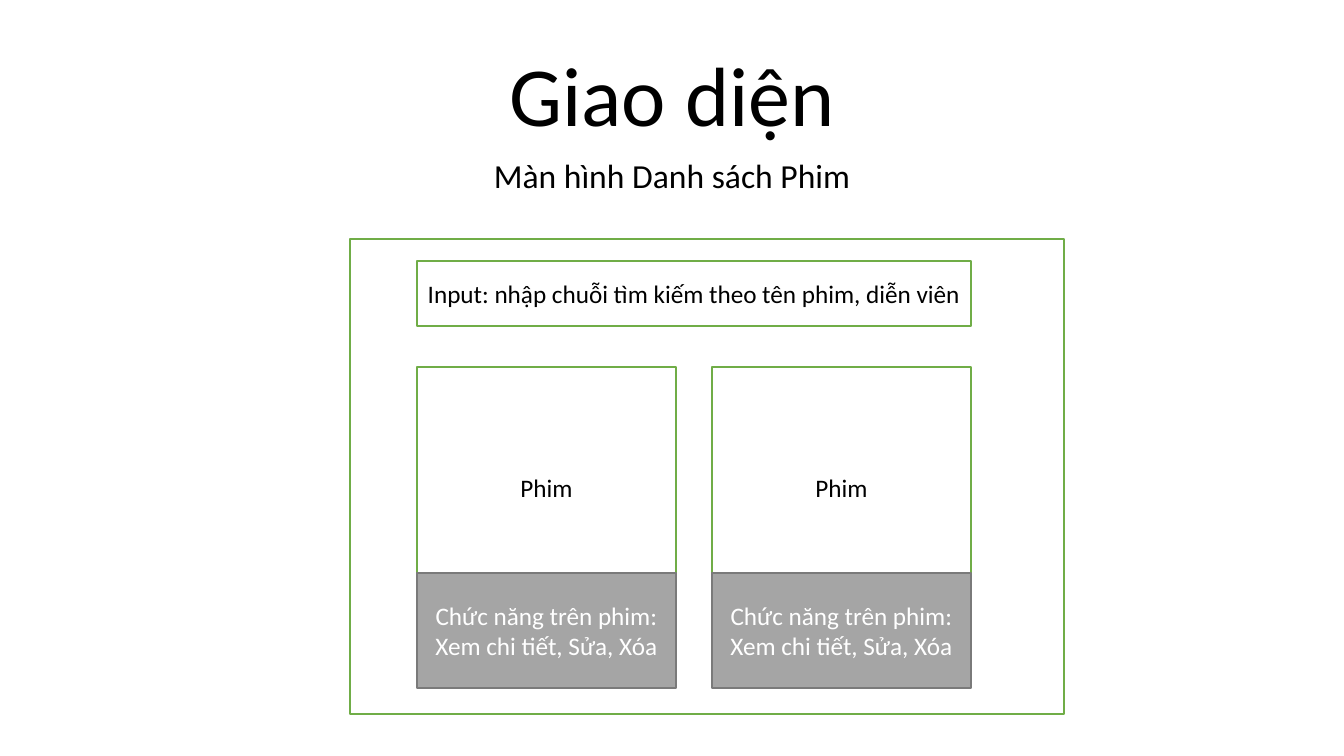
"""Builds the slide that sketches the film list screen."""
from pptx import Presentation
from pptx.dml.color import RGBColor
from pptx.enum.shapes import MSO_SHAPE as Shape
from pptx.enum.text import MSO_ANCHOR as Anchor, PP_ALIGN as Align
from pptx.util import Pt

SCALE = 914400 / 100.8
FONT = "Calibri"
COLORS = {
    "black": "000000",
    "white": "FFFFFF",
    "green": "70AD47",
    "gray": "A5A5A5",
    "dark_gray": "7A7A7A",
}


def emu(pixels):
    """Turn pixels into EMU."""
    return round(pixels * SCALE)


def color(name):
    """Look up a named colour."""
    return RGBColor.from_string(COLORS[name])


def write(shape, lines, size, ink="black", anchor=Anchor.MIDDLE, spacing=None, before=0):
    """Fill a shape with centred lines of text."""
    frame = shape.text_frame
    frame.word_wrap = True
    frame.vertical_anchor = anchor
    frame.text = "\n".join(lines)
    for para in frame.paragraphs:
        para.alignment = Align.CENTER
        para.line_spacing = spacing
        para.space_before = Pt(before)
        para.font.name = FONT
        para.font.size = Pt(size)
        para.font.color.rgb = color(ink)


def add_label(page, box, text, size, anchor, before=0):
    """Add a heading text box."""
    label = page.shapes.add_textbox(*map(emu, box))
    write(label, [text], size, anchor=anchor, spacing=0.9, before=before)


def add_panel(page, box, lines=(), fill="white", line="green", ink="black"):
    """Add an outlined rectangle with optional text."""
    panel = page.shapes.add_shape(Shape.RECTANGLE, *map(emu, box))
    panel.shadow.inherit = False
    panel.fill.solid()
    panel.fill.fore_color.rgb = color(fill)
    panel.line.color.rgb = color(line)
    panel.line.width = Pt(1)
    if lines:
        write(panel, lines, 18, ink)


def add_heading(page, box):
    """Add the title and the subtitle below it."""
    left, top, width, height = box
    add_label(page, (left, top, width, 113), "Giao diện", 60, Anchor.BOTTOM)
    add_label(page, (left, top + 118, width, height - 118),
              "Màn hình Danh sách Phim", 24, Anchor.TOP, before=10)


def add_film(page, box):
    """Add a film card with its action bar at the bottom."""
    left, top, width, height = box
    add_panel(page, (left, top, width, 241), ["Phim"])
    add_panel(page, (left, top + 206, width, height - 206),
              ["Chức năng trên phim:", "Xem chi tiết, Sửa, Xóa"],
              fill="gray", line="dark_gray", ink="white")


def add_screen(page, box):
    """Add the screen frame, its film cards and the search field."""
    left, top, width, height = box
    inner, film_width, gap = left + 67, 259, 36
    add_panel(page, box)
    for column in range(2):
        add_film(page, (inner + column * (film_width + gap), top + 128, film_width, 321))
    add_panel(page, (inner, top + 22, 2 * film_width + gap, 65),
              ["Input: nhập chuỗi tìm kiếm theo tên phim, diễn viên"])


def main():
    """Build and save the deck."""
    deck = Presentation()
    deck.slide_width, deck.slide_height = emu(1344), emu(756)
    page = deck.slides.add_slide(deck.slide_layouts[6])
    add_heading(page, (168, 37, 1008, 245))
    add_screen(page, (350, 239, 714, 475))
    deck.save("out.pptx")


main()
